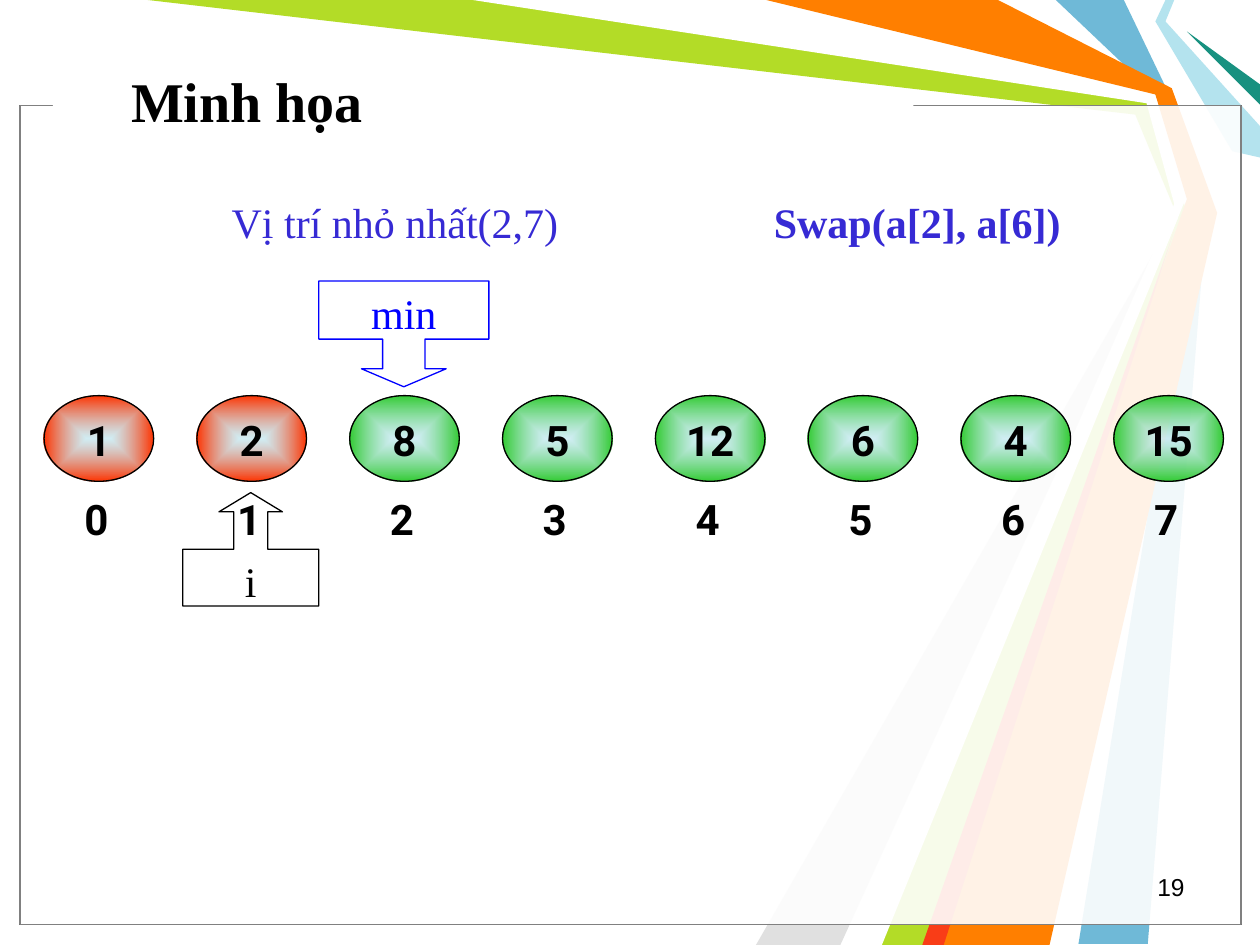
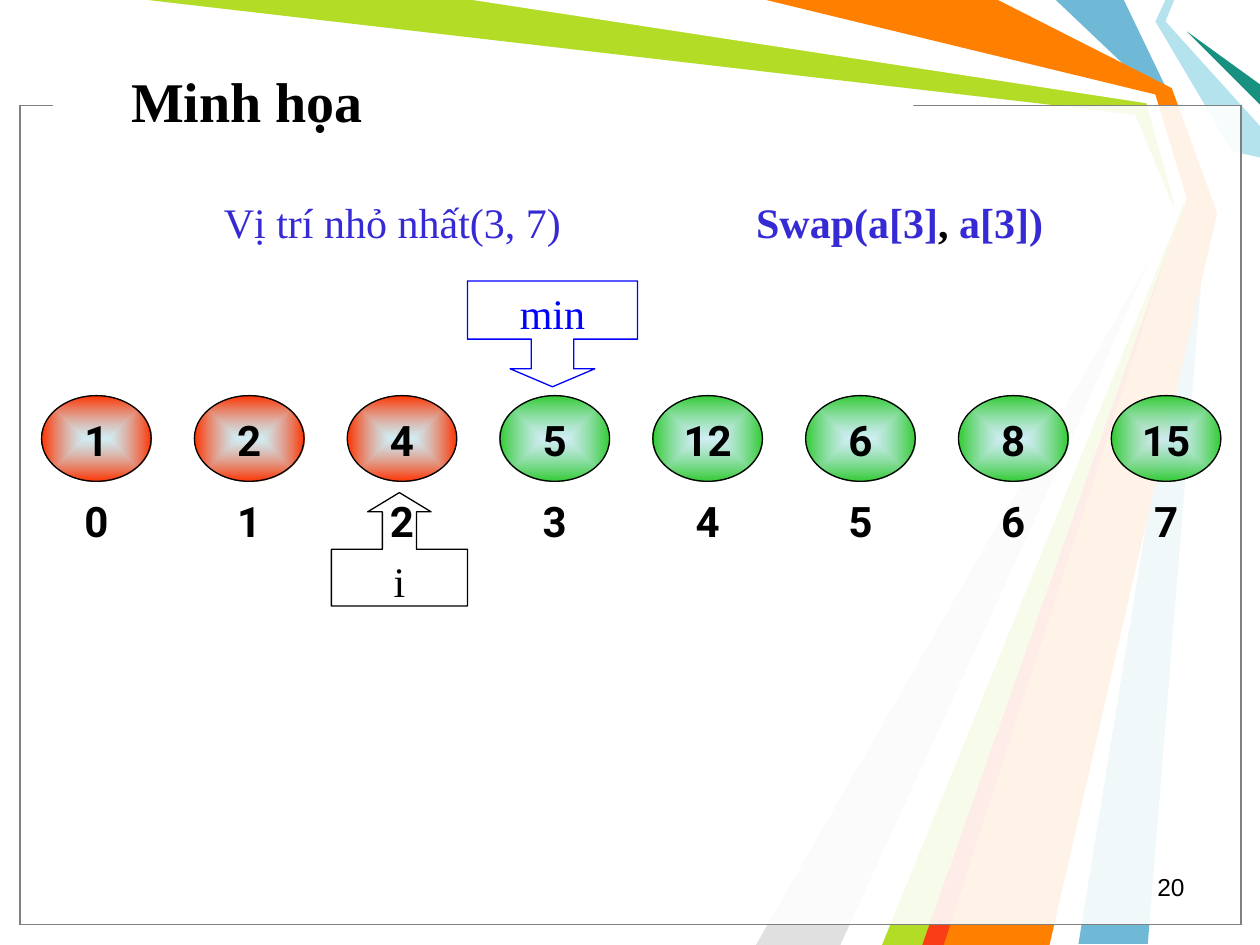
from dataclasses import dataclass

from lxml import etree
from pptx import Presentation
from pptx.dml.color import RGBColor
from pptx.enum.shapes import MSO_SHAPE
from pptx.enum.text import MSO_ANCHOR, MSO_AUTO_SIZE, PP_ALIGN
from pptx.oxml import parse_xml
from pptx.oxml.ns import nsdecls, qn
from pptx.util import Emu, Inches, Pt

RECT, OVAL = MSO_SHAPE.RECTANGLE, MSO_SHAPE.OVAL
UP, DOWN = MSO_SHAPE.UP_ARROW_CALLOUT, MSO_SHAPE.DOWN_ARROW_CALLOUT
LEFT, MID, RIGHT = PP_ALIGN.LEFT, PP_ALIGN.CENTER, PP_ALIGN.RIGHT

# The page is a grid of 10 columns by 7.5 rows
WIDTH, HEIGHT = Inches(10), Inches(7.5)
COL, ROW = WIDTH / 10, HEIGHT / 7.5


@dataclass(frozen=True)
class Theme:
    black: str = "000000"
    white: str = "FFFFFF"
    grey: str = "808080"
    blue: str = "0000FF"
    note: str = "362AD4"
    done: str = "FF3300"
    todo: str = "33CC33"
    glow: str = "B4E3EE"
    serif: str = "Times New Roman"
    sans: str = "Roboto"
    plain: str = "Arial"
    head: int = 32
    body: int = 24
    foot: int = 14
    line: float = 0.75


@dataclass(frozen=True)
class Box:
    x: float
    y: float
    w: float
    h: float

    def cut(self, x, y, w, h):
        """A box placed from this box's top left corner."""
        return Box(self.x + x, self.y + y, w, h)

    def emu(self):
        return [Emu(round(n)) for n in
                (self.x * COL, self.y * ROW, self.w * COL, self.h * ROW)]


T = Theme()
PAGE = Box(0, 0, 10, 7.5)
PITCH = 8.49 / 7  # distance from one array cell to the next

# Coloured ribbons, back to front
RIBBONS = [
    ("6FB9D7", [(8.92, 0), (9.29, 0.77), (9.58, 1.67), (9.11, 7.49),
                (8.56, 7.49), (9.5, 1.67), (9.17, 0.75), (8.38, 0)]),
    ("B3DC27", [(1.17, 0), (3.83, 0), (9.14, 0.78), (9.42, 1.69), (7.42, 7.5),
                (6.92, 7.5), (9.35, 1.73), (9.01, 0.91)]),
    ("E0E0E0", [(6.67, 7.5), (9.27, 1.81), (6, 7.5)]),
    (T.white, [(3.75, 0), (9.1, 0.82), (9.32, 1.62), (6.75, 7.5), (7, 7.5),
               (9.41, 1.58), (9.17, 0.75), (6, 0)]),
    (T.glow, [(9.25, 0), (9.17, 0.17), (9.78, 1.2), (10, 1.25), (10, 1),
              (9.25, 0.17), (9.32, 0)]),
    ("189180", [(10, 0.83), (9.42, 0.25), (10, 0.67)]),
    ("FF7F00", [(6.08, 0), (7.92, 0), (9.3, 0.7), (9.66, 1.69), (8.33, 7.5),
                (7.33, 7.5), (9.42, 1.58), (9.17, 0.75)]),
    ("F93D17", [(7.32, 7.5), (9.32, 1.83), (7.49, 7.5)]),
]


def paint(shape, fill=None, line=None):
    shape.shadow.inherit = False
    if fill:
        shape.fill.solid()
        shape.fill.fore_color.rgb = RGBColor.from_string(fill)
    else:
        shape.fill.background()
    if line:
        shape.line.color.rgb = RGBColor.from_string(line)
        shape.line.width = Pt(T.line)
    else:
        shape.line.fill.background()


def draw(slide, kind, box, fill=None, line=None):
    shape = slide.shapes.add_shape(kind, *box.emu())
    paint(shape, fill, line)
    return shape


def fade(shape, share):
    """Make a solid fill partly see-through."""
    tint = shape.element.spPr.find(qn("a:solidFill"))[0]
    etree.SubElement(tint, qn("a:alpha"), val=str(share * 1000))


def glow(shape, edge):
    """Shade a shape from a pale centre to its edge colour."""
    props = shape.element.spPr
    props.replace(props.find(qn("a:noFill")), parse_xml(
        f'<a:gradFill {nsdecls("a")} rotWithShape="1"><a:gsLst>'
        f'<a:gs pos="0"><a:srgbClr val="{T.glow}"><a:alpha val="60000"/>'
        f'</a:srgbClr></a:gs><a:gs pos="100000"><a:srgbClr val="{edge}"/></a:gs>'
        '</a:gsLst><a:path path="shape"><a:fillToRect l="50000" t="50000" '
        'r="50000" b="50000"/></a:path></a:gradFill>'))


def write(shape, runs, font, size, bold=False, align=MID):
    """Fill a shape with runs, each a pair of text and colour."""
    para = shape.text_frame.paragraphs[0]
    para.alignment = align
    for text, tint in runs:
        run = para.add_run()
        run.text = text
        run.font.name, run.font.size, run.font.bold = font, Pt(size), bold
        run.font.color.rgb = RGBColor.from_string(tint)


def label(shape, runs, font=T.serif, bold=False):
    """Body text that starts at the top and sets its shape's height."""
    frame = shape.text_frame
    frame.word_wrap = True
    frame.vertical_anchor = MSO_ANCHOR.TOP
    frame.auto_size = MSO_AUTO_SIZE.SHAPE_TO_FIT_TEXT
    write(shape, runs, font, T.body, bold)
    props = frame.paragraphs[0]._p.get_or_add_pPr()
    space = etree.SubElement(props, qn("a:spcBef"))
    etree.SubElement(space, qn("a:spcPct"), val="50000")


def back(slide, box):
    # Ribbons
    for tint, spots in RIBBONS:
        ends = [(round((box.x + x) * COL), round((box.y + y) * ROW))
                for x, y in spots]
        pen = slide.shapes.build_freeform(*ends[0], scale=1.0)
        pen.add_line_segments(ends[1:], close=True)
        paint(pen.convert_to_shape(), tint)
    # Double veil with a gap in its frame for the title
    for edge in (T.black, T.grey):
        fade(draw(slide, RECT, box.cut(0.16, 0.84, 9.69, 6.5), T.white, edge), 69)
    draw(slide, RECT, box.cut(0.42, 0.74, 6.83, 0.17), T.white)


def head(slide, box, text):
    title = slide.shapes.title
    slide.shapes.element.append(title.element)  # bring to the front
    title.left, title.top, title.width, title.height = box.emu()
    title.text_frame.vertical_anchor = MSO_ANCHOR.MIDDLE
    write(title, [(text, T.black)], T.serif, T.head, True, LEFT)


def foot(slide, box, number):
    note = slide.shapes.add_textbox(*box.emu())
    note.text_frame.word_wrap = True
    write(note, [(str(number), T.black)], T.plain, T.foot, align=RIGHT)


def beads(slide, box, values, done):
    for i, value in enumerate(values):
        bead = draw(slide, OVAL, box.cut(i * PITCH, 0, 0.87, box.h), line=T.black)
        glow(bead, T.done if i < done else T.todo)
        label(bead, [(str(value), T.black)], T.sans, True)


def marks(slide, box, count):
    for i in range(count):
        mark = draw(slide, OVAL, box.cut(i * PITCH, 0, 0.87, box.h))
        label(mark, [(str(i), T.black)], T.sans, True)


def hands(slide, box):
    """Callouts for i, below the array, and min, above it."""
    for kind, spot, text, tint, bends in (
            (UP, box.cut(0, 1.68, 1.08, 0.9), "i", T.black,
             (0.3, 0.28, 0.17, 0.5)),
            (DOWN, box.cut(1.08, 0, 1.35, 0.84), "min", T.blue,
             (0.4, 0.4, 0.17, 0.55))):
        hand = draw(slide, kind, spot, line=tint)
        for n, bend in enumerate(bends):
            hand.adjustments[n] = bend
        label(hand, [(text, tint)])


def notes(slide, box, find, swap, wide):
    label(draw(slide, RECT, box.cut(0, 0, 3.43, box.h), T.white),
          [(find, T.note)])
    label(draw(slide, RECT, box.cut(4.01, 0, wide, box.h), T.white),
          swap, bold=True)


def step(deck, number, values, done, left, drop, hand, find, swap, wide):
    """One step of the selection sort."""
    slide = deck.slides.add_slide(deck.slide_layouts[5])
    back(slide, PAGE)
    head(slide, PAGE.cut(0.94, 0.17, 6.89, 1.25), "Minh họa")
    foot(slide, PAGE.cut(7.17, 6.87, 2.33, 0.33), number)
    beads(slide, PAGE.cut(left, 3.14, 9.35, 0.68), values, done)
    hands(slide, PAGE.cut(hand, 2.23, 2.43, 2.58))
    marks(slide, PAGE.cut(0.33, drop, 9.35, 0.66), len(values))
    notes(slide, PAGE.cut(left + 1.07, 1.51, 7.71, 0.5), find, swap, wide)


def main():
    deck = Presentation()
    deck.slide_width, deck.slide_height = WIDTH, HEIGHT
    step(deck, 19, [1, 2, 8, 5, 12, 6, 4, 15], done=2, left=0.35, drop=3.77,
         hand=1.45, find="Vị trí nhỏ nhất(2,7)",
         swap=[("Swap(a[2], a[6])", T.note)], wide=3.7)
    step(deck, 20, [1, 2, 4, 5, 12, 6, 8, 15], done=3, left=0.33, drop=3.79,
         hand=2.63, find="Vị trí nhỏ nhất(3, 7)",
         swap=[("Swap(a[3]", T.note), (", ", T.black), ("a[3])", T.note)],
         wide=3.46)
    deck.save("out.pptx")


if __name__ == "__main__":
    main()
